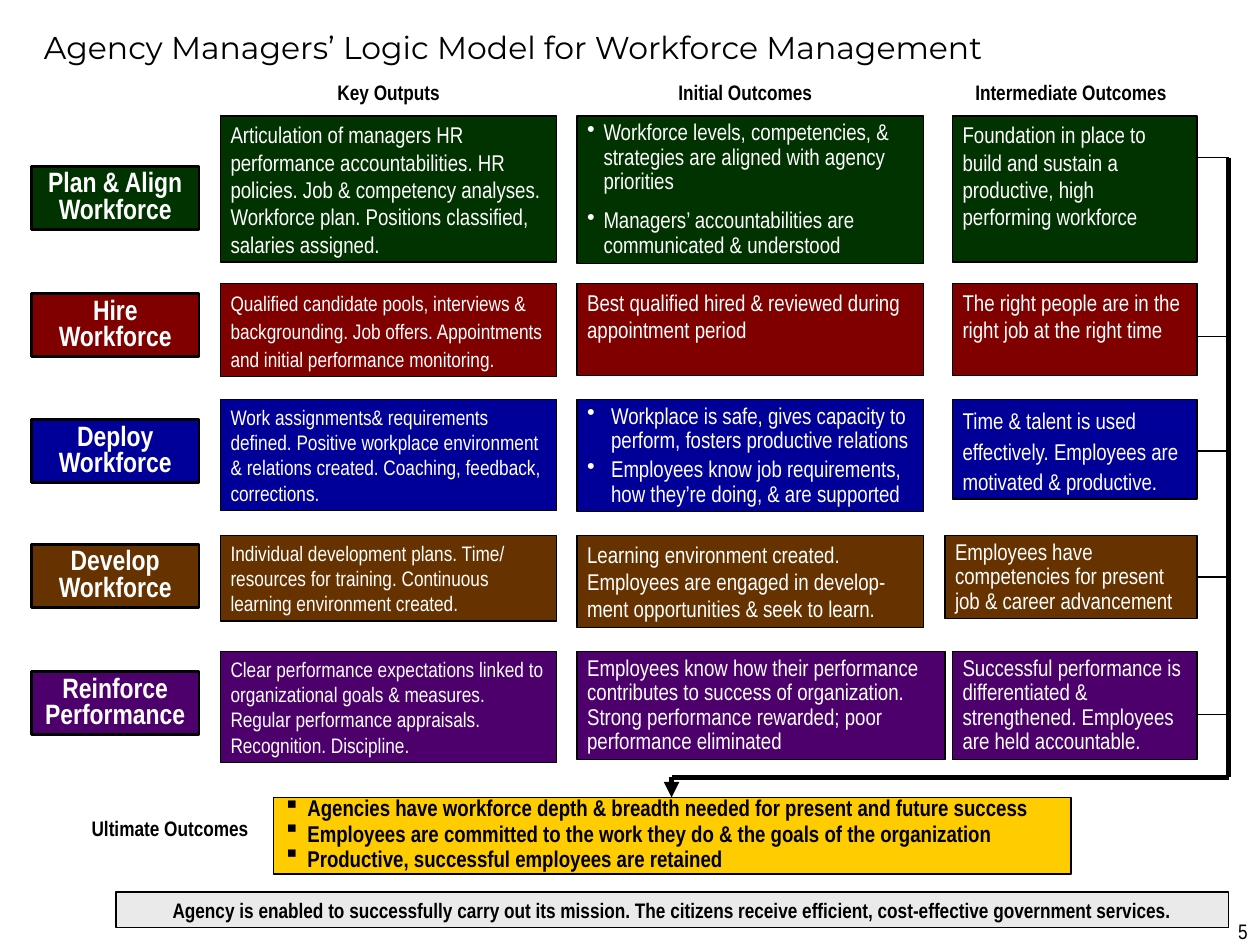
from dataclasses import dataclass

from lxml.etree import SubElement
from pptx import Presentation
from pptx.dml.color import RGBColor
from pptx.enum.shapes import MSO_CONNECTOR, MSO_SHAPE
from pptx.enum.text import MSO_ANCHOR, PP_ALIGN
from pptx.oxml.ns import qn
from pptx.util import Inches, Pt

COLORS = {
    "black": "000000", "white": "FFFFFF", "green": "003300", "red": "800000",
    "blue": "000099", "brown": "663300", "purple": "4D006C",
    "gold": "FFCC00", "gray": "EAEAEA",
}
NARROW = "Arial Narrow"
KEY, INITIAL, INTERMEDIATE = (1.75, 2.67), (4.58, 2.75), (7.56, 1.94)
RAIL_X, BOXES_RIGHT = 9.75, 9.5
TURN_X, TURN_Y, ULTIMATE_TOP = 5.33, 6.17, 6.33


@dataclass
class Text:
    lines: list[str]
    size: float = 13
    color: str = "white"
    bold: bool = False
    font: str = NARROW
    align: PP_ALIGN = PP_ALIGN.LEFT
    spacing: tuple[float, ...] = (1,)
    gap: float = 0
    bullet: str = ""
    indent: float = 0


@dataclass
class Cell:
    column: tuple[float, float]
    height: float
    text: Text


@dataclass
class Stage:
    label: str
    color: str
    top: float
    label_top: float
    link_y: float
    cells: list[Cell]


STAGES = [
    Stage("Plan & Align Workforce", "green", 0.92, 1.32, 1.25, [
        Cell(KEY, 1.16, Text(["Articulation of managers HR performance accountabilities. HR policies. Job & competency analyses. Workforce plan. Positions classified, salaries assigned."])),
        Cell(INITIAL, 1.17, Text([
            "Workforce levels, competencies, & strategies are aligned with agency priorities",
            "Managers’ accountabilities are communicated & understood",
        ], spacing=(0.9,), gap=8.1, bullet="•", indent=0.13)),
        Cell(INTERMEDIATE, 1.16, Text(["Foundation in place to build and sustain a productive, high performing workforce"])),
    ]),
    Stage("Hire Workforce", "red", 2.25, 2.33, 2.67, [
        Cell(KEY, 0.74, Text(["Qualified candidate pools, interviews & backgrounding. Job offers. Appointments and initial performance monitoring."], 12, spacing=(1.1,))),
        Cell(INITIAL, 0.73, Text(["Best qualified hired & reviewed during appointment period"])),
        Cell(INTERMEDIATE, 0.73, Text(["The right people are in the right job at the right time"])),
    ]),
    Stage("Deploy Workforce", "blue", 3.17, 3.33, 3.58, [
        Cell(KEY, 0.88, Text(["Work assignments& requirements defined. Positive workplace environment & relations created. Coaching, feedback, corrections."], 12)),
        Cell(INITIAL, 0.89, Text([
            "Workplace is safe, gives capacity to perform, fosters productive relations",
            "Employees know job requirements, how they’re doing, & are supported",
        ], spacing=(0.9,), gap=2.4, bullet="•", indent=0.19)),
        Cell(INTERMEDIATE, 0.79, Text(["Time & talent is used effectively. Employees are motivated & productive."], spacing=(1.1,))),
    ]),
    Stage("Develop Workforce", "brown", 4.25, 4.32, 4.58, [
        Cell(KEY, 0.68, Text(["Individual development plans. Time/ resources for training. Continuous learning environment created."], 12)),
        Cell(INITIAL, 0.73, Text(["Learning environment created. Employees are engaged in develop-\vment opportunities & seek to learn."])),
        Cell((7.5, 2), 0.66, Text(["Employees have competencies for present job & career advancement"], spacing=(0.9,))),
    ]),
    Stage("Reinforce Performance", "purple", 5.17, 5.33, 5.67, [
        Cell(KEY, 0.88, Text(["Clear performance expectations linked to organizational goals & measures. Regular performance appraisals. Recognition. Discipline."], 12)),
        Cell((4.58, 2.92), 0.86, Text(["Employees know how their performance contributes to success of organization. Strong performance rewarded; poor performance eliminated"], spacing=(0.9,))),
        Cell(INTERMEDIATE, 0.86, Text(["Successful performance is differentiated & strengthened. Employees are held accountable."], spacing=(0.9,))),
    ]),
]

HEADINGS = [
    ("Key Outputs", 2.25, 0.58, 1.67),
    ("Initial Outcomes", 5.08, 0.58, 1.67),
    ("Intermediate Outcomes", 7.5, 0.58, 2),
    ("Ultimate Outcomes", 0.58, 6.42, 1.54),
]


def rgb(name: str) -> RGBColor:
    return RGBColor.from_string(COLORS[name])


def set_bullet(p, char: str, color: str, indent: float) -> None:
    pPr = p._p.get_or_add_pPr()
    pPr.set("marL", str(Inches(indent)))
    pPr.set("indent", str(-Inches(indent)))
    clr = SubElement(pPr, qn("a:buClr"))
    SubElement(clr, qn("a:srgbClr"), val=COLORS[color])
    SubElement(pPr, qn("a:buChar"), char=char)


def write(sp, text: Text, inset_x: float, inset_y: float) -> None:
    tf = sp.text_frame
    frame_format = {
        "word_wrap": True, "vertical_anchor": MSO_ANCHOR.TOP,
        "margin_left": Inches(inset_x), "margin_right": Inches(inset_x),
        "margin_top": Inches(inset_y), "margin_bottom": Inches(inset_y),
    }
    for name, value in frame_format.items():
        setattr(tf, name, value)
    font_format = {"name": text.font, "size": Pt(text.size), "bold": text.bold}
    for i, line in enumerate(text.lines):
        p = tf.add_paragraph() if i else tf.paragraphs[0]
        p.text = line
        if text.bullet:
            set_bullet(p, text.bullet, text.color, text.indent)
        p.alignment = text.align
        p.line_spacing = text.spacing[min(i, len(text.spacing) - 1)]
        p.space_before = Pt(text.gap if i else 0)
        for r in p.runs:
            for name, value in font_format.items():
                setattr(r.font, name, value)
            r.font.color.rgb = rgb(text.color)


def add_box(s, left: float, top: float, width: float, height: float,
            fill: str, text: Text, line: float = 0.75) -> None:
    sp = s.shapes.add_shape(MSO_SHAPE.RECTANGLE, Inches(left), Inches(top),
                            Inches(width), Inches(height))
    sp.shadow.inherit = False
    sp.fill.solid()
    sp.fill.fore_color.rgb = rgb(fill)
    sp.line.color.rgb = rgb("black")
    sp.line.width = Pt(line)
    write(sp, text, 0.08, 0.04)


def add_text(s, left: float, top: float, width: float, height: float, text: Text) -> None:
    sp = s.shapes.add_textbox(Inches(left), Inches(top), Inches(width), Inches(height))
    write(sp, text, 0.1, 0.05)


def add_line(s, x1: float, y1: float, x2: float, y2: float,
             width: float, arrow: bool = False) -> None:
    sp = s.shapes.add_connector(MSO_CONNECTOR.STRAIGHT, Inches(x1), Inches(y1),
                                Inches(x2), Inches(y2))
    sp.line.color.rgb = rgb("black")
    sp.line.width = Pt(width)
    if arrow:
        SubElement(sp.line._get_or_add_ln(), qn("a:tailEnd"), type="triangle")
    SubElement(sp._element.spPr, qn("a:effectLst"))


def main() -> None:
    prs = Presentation()
    prs.slide_width, prs.slide_height = Inches(10), Inches(7.5)
    s = prs.slides.add_slide(prs.slide_layouts[6])

    add_text(s, 0.25, 0.17, 9.75, 0.4, Text(
        ["Agency Managers’ Logic Model for Workforce Management"], 18, "black", font="Montserrat"))
    for heading, left, top, width in HEADINGS:
        add_text(s, left, top, width, 0.3,
                 Text([heading], 12, "black", True, align=PP_ALIGN.CENTER))

    for stage in STAGES:
        add_box(s, 0.25, stage.label_top, 1.33, 0.5, stage.color,
                Text([stage.label], 16, bold=True, align=PP_ALIGN.CENTER, spacing=(0.8,)), 1.5)
        for cell in stage.cells:
            left, width = cell.column
            add_box(s, left, stage.top, width, cell.height, stage.color, cell.text)
        add_line(s, BOXES_RIGHT, stage.link_y, RAIL_X, stage.link_y, 0.75)

    add_box(s, 2.17, ULTIMATE_TOP, 6.33, 0.61, "gold", Text([
        "Agencies have workforce depth & breadth needed for present and future success",
        "Employees are committed to the work they do & the goals of the organization",
        "Productive, successful employees are retained",
    ], color="black", bold=True, spacing=(0.65, 0.55), gap=5.6, bullet="▪", indent=0.19), 1)
    add_box(s, 0.92, 7.08, 8.83, 0.28, "gray", Text(
        ["Agency is enabled to successfully carry out its mission. The citizens receive efficient, cost-effective government services."],
        12, "black", True, align=PP_ALIGN.CENTER))

    add_line(s, RAIL_X, STAGES[0].link_y, RAIL_X, TURN_Y, 3)
    add_line(s, RAIL_X, TURN_Y, TURN_X, TURN_Y, 3)
    add_line(s, TURN_X, TURN_Y, TURN_X, ULTIMATE_TOP, 3, arrow=True)
    add_text(s, 7.67, 7.24, 2.33, 0.52, Text(["5"], 12, "black", align=PP_ALIGN.RIGHT))
    prs.save("out.pptx")


if __name__ == "__main__":
    main()
